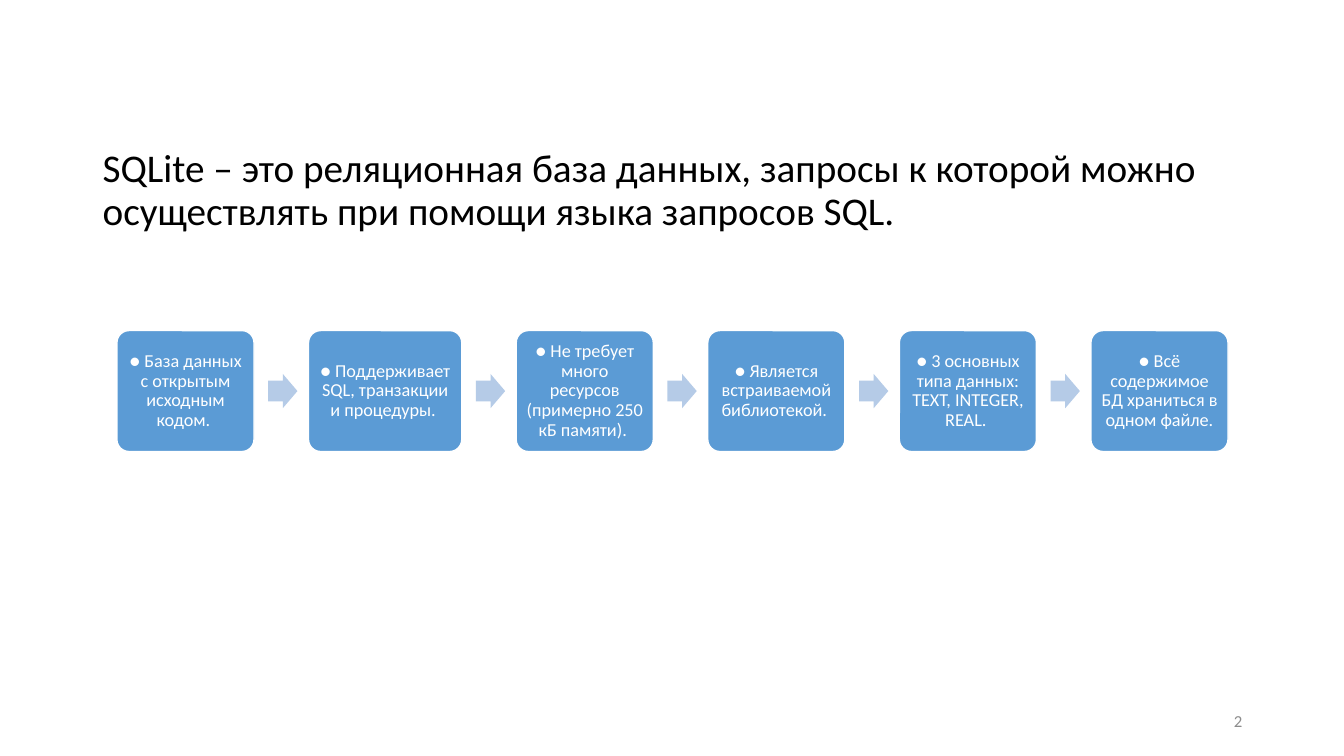
from pptx import Presentation
from pptx.dml.color import RGBColor
from pptx.enum.shapes import MSO_SHAPE
from pptx.enum.text import MSO_ANCHOR, PP_ALIGN
from pptx.util import Inches, Pt

ROUNDED, ARROW = MSO_SHAPE.ROUNDED_RECTANGLE, MSO_SHAPE.RIGHT_ARROW
TOP, MIDDLE = MSO_ANCHOR.TOP, MSO_ANCHOR.MIDDLE
LEFT, CENTER, RIGHT = PP_ALIGN.LEFT, PP_ALIGN.CENTER, PP_ALIGN.RIGHT

FEATURES = [
    ("● База данных с открытым исходным кодом. ", 1.36),
    ("● Поддерживает SQL, транзакции и процедуры. ", 1.52),
    ("● Не требует много ресурсов (примерно 250 кБ памяти). ", 1.36),
    ("● Является встраиваемой библиотекой. ", 1.36),
    ("● 3 основных типа данных: TEXT, INTEGER, REAL. ", 1.36),
    ("● Всё содержимое БД храниться в одном файле.", 1.36),
]
FLOW_LEFT, FLOW_MIDDLE = 1.16, 3.88
STEP_HEIGHT, STEP_GAP = 1.2, 0.54
ARROW_WIDTH, ARROW_HEIGHT, ARROW_OFFSET = 0.29, 0.34, 0.14


def color(value):
    return RGBColor.from_string(value)


class SlideBuilder:
    font_name = "Calibri"
    black, white, gray = "000000", "FFFFFF", "8C8C8C"
    step_fill, arrow_fill = "5B9BD5", "B5CBE7"

    def __init__(self, slide):
        self.slide = slide

    def fill_text(self, frame, text, size, ink, align, anchor, spacing=1.0):
        frame.word_wrap = True
        frame.vertical_anchor = anchor
        para = frame.paragraphs[0]
        para.alignment = align
        para.line_spacing = spacing
        span = para.add_run()
        span.text = text
        span.font.name = self.font_name
        span.font.size = Pt(size)
        span.font.color.rgb = color(ink)

    def text(self, left, top, width, height, *style):
        box = self.slide.shapes.add_textbox(
            Inches(left), Inches(top), Inches(width), Inches(height))
        self.fill_text(box.text_frame, *style)

    def shape(self, kind, left, width, height, fill, adjustments):
        """Draw a filled shape centred vertically on the flow."""
        shape = self.slide.shapes.add_shape(
            kind, Inches(left), Inches(FLOW_MIDDLE - height / 2),
            Inches(width), Inches(height))
        for index, value in enumerate(adjustments):
            shape.adjustments[index] = value
        shape.shadow.inherit = False
        shape.fill.solid()
        shape.fill.fore_color.rgb = color(fill)
        shape.line.fill.background()
        return shape

    def step(self, left, width, text):
        box = self.shape(ROUNDED, left, width, STEP_HEIGHT, self.step_fill, [0.1])
        box.line.color.rgb = color(self.white)
        box.line.width = Pt(1)
        frame = box.text_frame
        frame.margin_left = frame.margin_right = Inches(0.05)
        frame.margin_top = frame.margin_bottom = Inches(0.05)
        self.fill_text(frame, text, 13, self.white, CENTER, MIDDLE, 0.9)

    def arrow(self, left):
        self.shape(ARROW, left, ARROW_WIDTH, ARROW_HEIGHT, self.arrow_fill, [0.6, 0.5])


def main():
    deck = Presentation()
    deck.slide_width, deck.slide_height = Inches(13.33), Inches(7.5)
    page = SlideBuilder(deck.slides.add_slide(deck.slide_layouts[6]))

    page.text(0.92, 1.43, 11.5, 4.76,
              "SQLite – это реляционная база данных, запросы к которой можно "
              "осуществлять при помощи языка запросов SQL.",
              28, page.black, LEFT, TOP, 0.9)

    left = FLOW_LEFT
    for index, (text, width) in enumerate(FEATURES):
        if index:
            page.arrow(left - STEP_GAP + ARROW_OFFSET)
        page.step(left, width, text)
        left += width + STEP_GAP

    page.text(9.42, 6.95, 3, 0.4, "2", 12, page.gray, RIGHT, MIDDLE)
    deck.save("out.pptx")


if __name__ == "__main__":
    main()
